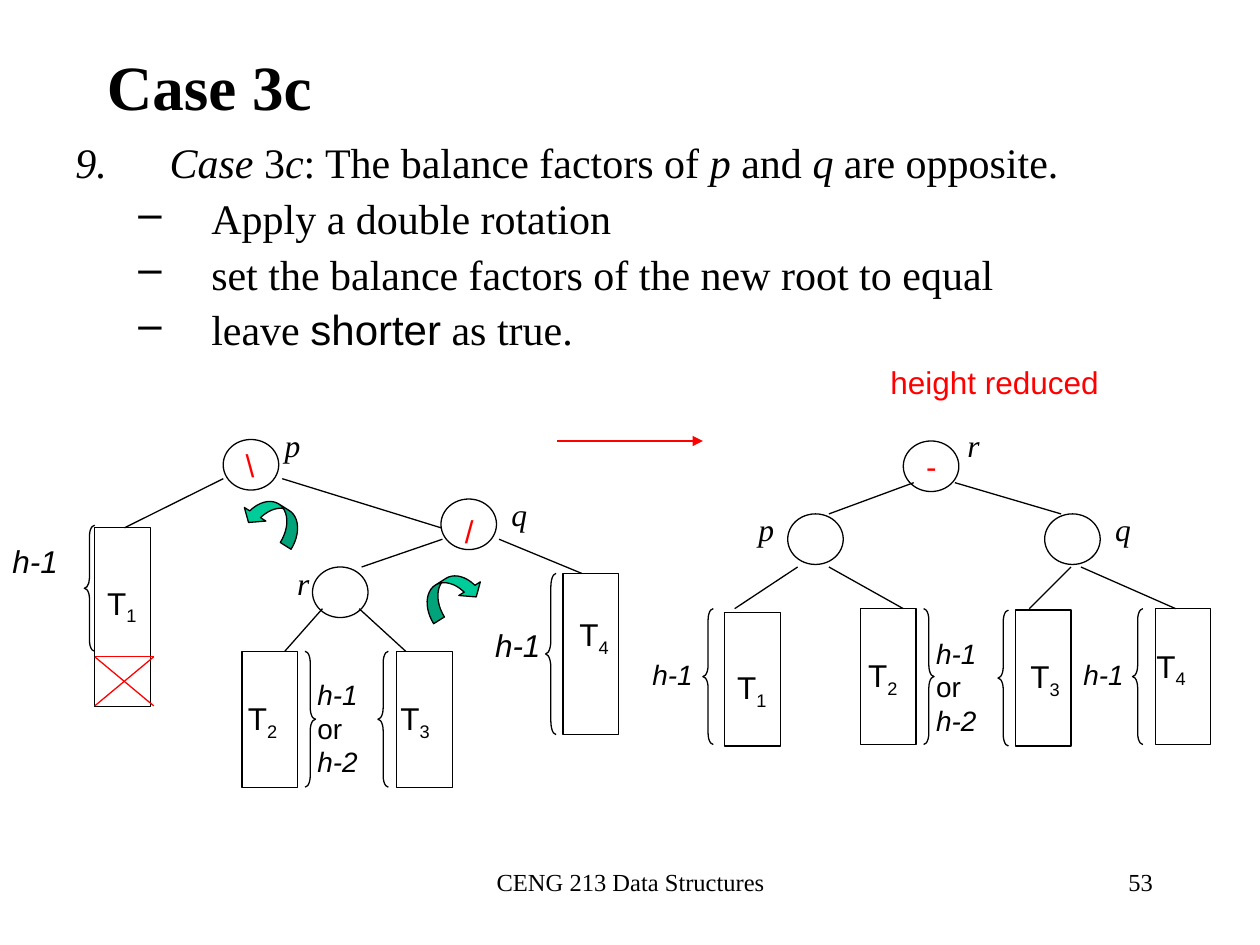
from lxml import etree
from pptx import Presentation
from pptx.dml.color import RGBColor
from pptx.enum.shapes import MSO_CONNECTOR, MSO_SHAPE as Preset
from pptx.enum.text import MSO_ANCHOR, MSO_AUTO_SIZE, PP_ALIGN as Align
from pptx.oxml.ns import qn
from pptx.util import Cm, Pt

COLORS = {"ink": "000000", "mark": "FF0000", "turn": "00CC99"}
SERIF = {"name": "Times New Roman"}
SANS = {"name": "Arial"}
ITALIC = {"italic": True}
NODE_SIZE = (1.12, 1.02)
SUBTREE_WIDTH = 1.12
BRACE_WIDTH = 0.21
H1 = [("h-1", ITALIC)]
H1_OR_H2 = [("h-1", ITALIC), ("\n", {}), ("or", {}), ("\n", {}), ("h-2", ITALIC)]


def color(name):
    return RGBColor.from_string(COLORS[name])


def write(paragraph, runs, size, face=SERIF, ink="ink"):
    """Add (text, font values) runs; a lone newline is a line break."""
    for text, extra in runs:
        if text == "\n":
            paragraph.add_line_break()
            continue
        run = paragraph.add_run()
        run.text = text
        run.font.color.rgb = color(ink)
        for key, value in {"size": Pt(size), **face, **extra}.items():
            setattr(run.font, key, value)


def add_label(slide, box, runs, size, face=SERIF, ink="ink", align=Align.LEFT):
    frame = slide.shapes.add_textbox(*map(Cm, box)).text_frame
    frame.word_wrap = True
    paragraph = frame.paragraphs[0]
    paragraph.alignment = align
    write(paragraph, runs, size, face, ink)


def add_outline(slide, preset, box, fill=None):
    shape = slide.shapes.add_shape(preset, *map(Cm, box))
    shape.shadow.inherit = False
    if fill:
        shape.fill.solid()
        shape.fill.fore_color.rgb = color(fill)
    else:
        shape.fill.background()
    shape.line.color.rgb = color("ink")
    shape.line.width = Pt(0.75)
    return shape


def add_line(slide, ends, ink="ink", arrow=False):
    line = slide.shapes.add_connector(MSO_CONNECTOR.STRAIGHT, *map(Cm, ends))
    line.line.color.rgb = color(ink)
    line.line.width = Pt(0.75)
    etree.SubElement(line._element.spPr, qn("a:effectLst"))
    if arrow:
        etree.SubElement(line.line._get_or_add_ln(), qn("a:tailEnd"), type="triangle")


def add_brace(slide, preset, box):
    brace = add_outline(slide, preset, box)
    brace.adjustments[0] = box[3] / 12 / box[2]


def add_turn(slide, preset, box, rotation):
    """Rotation arrow with its head at the upper end."""
    turn = add_outline(slide, preset, box, "turn")
    for index, value in enumerate((0.4, 0.8, 0.33)):
        turn.adjustments[index] = value
    turn.rotation = rotation
    turn._element.spPr.xfrm.set("flipV", "1")


def add_title(slide, box):
    title = slide.shapes.title
    for key, value in zip(("left", "top", "width", "height"), box):
        setattr(title, key, Cm(value))
    frame = title.text_frame
    frame.auto_size = MSO_AUTO_SIZE.NONE
    frame.vertical_anchor = MSO_ANCHOR.MIDDLE
    frame.paragraphs[0].alignment = Align.LEFT
    write(frame.paragraphs[0], [("Case 3c", {"bold": True})], 36)


def add_steps(slide, box):
    number = ("a:buAutoNum", {"type": "arabicPeriod", "startAt": "9"})
    dash = ("a:buChar", {"char": "–"})
    steps = [
        (number, 1.9, -1.9, [
            ("Case", ITALIC), (" 3", {}), ("c", ITALIC),
            (": The balance factors of ", {}), ("p", ITALIC), (" and ", {}),
            ("q", ITALIC), (" are opposite.", {})]),
        (dash, 2.74, -1.47, [("Apply a double rotation", {})]),
        (dash, 2.74, -1.47, [("set the balance factors of the new root to equal", {})]),
        (dash, 2.74, -1.47, [("leave ", {}), ("shorter", SANS), (" as true.", {})]),
    ]
    frame = slide.shapes.add_textbox(*map(Cm, box)).text_frame
    frame.word_wrap = True
    for index, ((tag, values), margin, indent, runs) in enumerate(steps):
        paragraph = frame.add_paragraph() if index else frame.paragraphs[0]
        paragraph.level = min(index, 1)
        paragraph.line_spacing = 0.9
        paragraph.space_before = Pt(6)
        properties = paragraph._p.get_or_add_pPr()
        properties.set("marL", str(Cm(margin)))
        properties.set("indent", str(Cm(indent)))
        etree.SubElement(properties, qn(tag), values)
        write(paragraph, runs, 24)


def add_tree(slide, left, top, tree):
    """Draw a tree whose parts are given relative to its upper left corner."""
    def at(x, y, *size):
        return (left + x, top + y, *size)

    for x, y in tree["nodes"]:
        add_outline(slide, Preset.OVAL, at(x, y, *NODE_SIZE))
    for name, x, y in tree["names"]:
        add_label(slide, at(x, y, 1.32, 1.02), [(name, ITALIC)], 18)
    for sign, x, y in tree["balances"]:
        add_label(slide, at(x, y, 0.94, 1.02), [(sign, {})], 18, SANS, "mark")
    for x1, y1, x2, y2 in tree["edges"]:
        add_line(slide, at(x1, y1) + at(x2, y2))
    for number, (x, y, height, label_x, label_y) in enumerate(tree["subtrees"], 1):
        add_outline(slide, Preset.RECTANGLE, at(x, y, SUBTREE_WIDTH, height))
        name = [("T", {}), (str(number), {})]
        add_label(slide, at(label_x, label_y, 1.75, 1.12), name, 18, SANS)
        subscript = slide.shapes[-1].text_frame.paragraphs[0].runs[1]
        subscript.font._element.set("baseline", "-25000")
    for preset, x, y, height in tree["braces"]:
        add_brace(slide, preset, at(x, y, BRACE_WIDTH, height))
    for runs, size, x, y in tree["heights"]:
        add_label(slide, at(x, y, 1.88, 1), runs, size, SANS)
    for preset, x, y, rotation in tree.get("turns", ()):
        add_turn(slide, preset, at(x, y, 0.64, 1.27), rotation)
    for x1, y1, x2, y2 in tree.get("removed", ()):
        add_line(slide, at(x1, y1) + at(x2, y2), "mark")


BEFORE = {
    "nodes": [(4.5, 0.4), (8.89, 1.6), (6.3, 2.97)],
    "names": [("p", 5.49, 0), ("q", 10.06, 1.4), ("r", 5.74, 2.79)],
    "balances": [("\\", 4.7, 0.4), ("/", 9.12, 1.73)],
    "edges": [(4.5, 1.19, 2.51, 2.18), (5.69, 1.19, 8.89, 2.18),
              (8.92, 2.41, 7.29, 2.97), (10.06, 2.41, 11.73, 3.1),
              (6.5, 3.81, 5.74, 4.67), (7.24, 3.81, 8.18, 4.67)],
    "subtrees": [(1.91, 2.18, 3.61, 1.91, 3.18), (4.88, 4.67, 2.74, 4.75, 5.51),
                 (8, 4.67, 2.74, 7.82, 5.51), (11.35, 3.1, 3.25, 11.43, 3.81)],
    "braces": [(Preset.LEFT_BRACE, 1.7, 2.13, 2.54), (Preset.RIGHT_BRACE, 6.15, 4.67, 2.74),
               (Preset.LEFT_BRACE, 7.62, 4.67, 2.74), (Preset.LEFT_BRACE, 11, 3.1, 3.25)],
    "heights": [(H1, 18, 0, 2.34), (H1_OR_H2, 16, 6.15, 5.08), (H1, 18, 9.73, 4.04)],
    "turns": [(Preset.CURVED_LEFT_ARROW, 5.18, 1.37, 302.2),
              (Preset.CURVED_RIGHT_ARROW, 8.79, 2.87, 57.8)],
    "removed": [(1.91, 4.78, 3.1, 4.78), (3.1, 4.78, 1.91, 5.77), (1.91, 4.78, 3.1, 5.77)],
}
AFTER = {
    "nodes": [(5.51, 0.43), (3.18, 1.9), (8.36, 1.9)],
    "names": [("r", 6.55, 0), ("p", 2.34, 1.7), ("q", 9.53, 1.7)],
    "balances": [("-", 5.72, 0.43)],
    "edges": [(5.72, 1.27, 4.01, 1.9), (6.55, 1.27, 8.69, 1.9),
              (3.38, 2.97, 2.11, 3.81), (4.01, 2.97, 5.51, 3.81),
              (8.89, 2.97, 8.05, 3.81), (9.09, 2.97, 11, 3.81)],
    "subtrees": [(1.91, 3.89, 2.69, 1.91, 4.88), (4.65, 3.81, 2.74, 4.55, 4.65),
                 (7.77, 3.84, 2.74, 7.82, 4.67), (10.59, 3.81, 2.74, 10.36, 4.45)],
    "braces": [(Preset.LEFT_BRACE, 1.47, 3.81, 2.74), (Preset.RIGHT_BRACE, 5.92, 3.81, 2.74),
               (Preset.LEFT_BRACE, 7.42, 3.84, 2.74), (Preset.LEFT_BRACE, 10.13, 3.81, 2.74)],
    "heights": [(H1, 16, 0.2, 4.67), (H1_OR_H2, 16, 5.92, 4.24), (H1, 16, 8.89, 4.67)],
}


def add_footer(slide, top):
    add_label(slide, (8.69, top, 8.05, 1.27), [("CENG 213 Data Structures", {})], 14,
              align=Align.CENTER)
    add_label(slide, (18.21, top, 5.28, 1.27), [("53", {})], 14, align=Align.RIGHT)


def main():
    deck = Presentation()
    deck.slide_width, deck.slide_height = Cm(25.4), Cm(19.05)
    slide = deck.slides.add_slide(deck.slide_layouts[5])
    add_title(slide, (1.9, 1.07, 21.59, 1.3))
    add_steps(slide, (1.27, 2.74, 22.86, 4.88))
    add_label(slide, (17.7, 7.19, 6.8, 1.02), [("height reduced", {})], 18, SANS, "mark")
    add_tree(slide, 0, 8.46, BEFORE)
    add_line(slide, (11.23, 8.89, 14.17, 8.89), "mark", arrow=True)
    add_tree(slide, 12.7, 8.46, AFTER)
    add_footer(slide, 17.35)
    deck.save("out.pptx")


if __name__ == "__main__":
    main()
